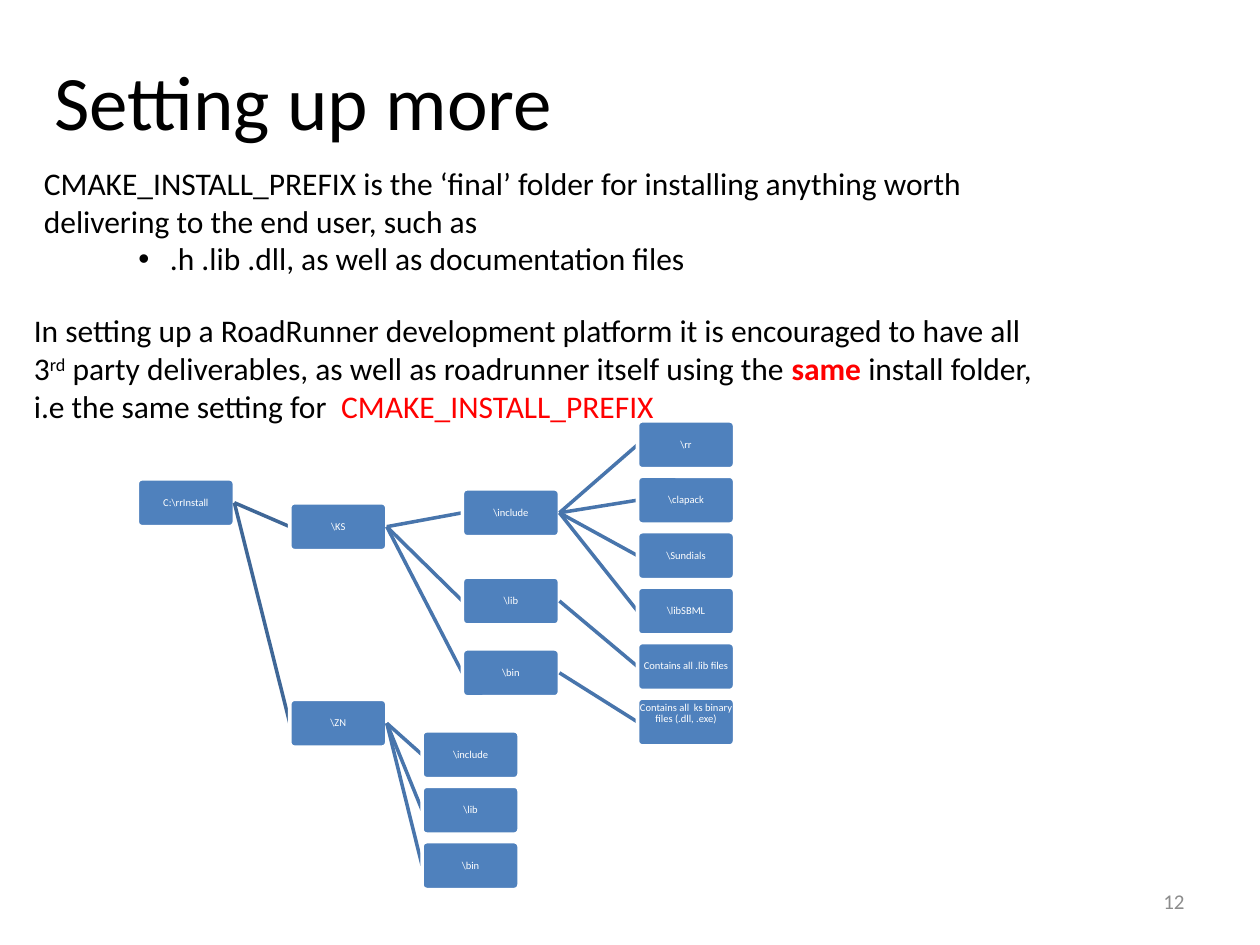
from dataclasses import dataclass
from typing import Optional

from lxml import etree
from pptx import Presentation
from pptx.dml.color import RGBColor
from pptx.enum.shapes import MSO_CONNECTOR, MSO_SHAPE
from pptx.enum.text import MSO_ANCHOR, PP_ALIGN
from pptx.oxml.ns import qn
from pptx.util import Inches, Pt

STRAIGHT = MSO_CONNECTOR.STRAIGHT
ROUNDED = MSO_SHAPE.ROUNDED_RECTANGLE
MIDDLE = MSO_ANCHOR.MIDDLE
LEFT, CENTER, RIGHT = PP_ALIGN.LEFT, PP_ALIGN.CENTER, PP_ALIGN.RIGHT

BLACK = RGBColor(0x00, 0x00, 0x00)
WHITE = RGBColor(0xFF, 0xFF, 0xFF)
RED = RGBColor(0xFF, 0x00, 0x00)
GRAY = RGBColor(0x8C, 0x8C, 0x8C)
BOX_BLUE = RGBColor(0x4F, 0x81, 0xBD)
ROOT_LINE = RGBColor(0x3F, 0x67, 0x97)
BRANCH_LINE = RGBColor(0x48, 0x75, 0xAC)

FONT = "Calibri"
BOX_WIDTH, BOX_HEIGHT = 0.77, 0.38
ROW_STEP = 0.44
ROOT_X, COMPILER_X, KS_X, CONTENT_X, ZN_X = 1.09, 2.3, 3.67, 5.06, 3.35


@dataclass
class Folder:
    name: str
    left: float
    top: float
    parent: Optional["Folder"] = None
    bottom_inset: float = 0


def add_text(paragraph, text: str, size: float = 18, color: RGBColor = BLACK,
             bold: bool = False, baseline: int = 0) -> None:
    run = paragraph.add_run()
    run.text = text
    run.font.name = FONT
    run.font.size = Pt(size)
    run.font.bold = bold
    run.font.color.rgb = color
    if baseline:
        run.font._element.set("baseline", str(baseline))


def add_text_box(slide, left: float, top: float, width: float, height: float):
    shape = slide.shapes.add_textbox(Inches(left), Inches(top), Inches(width), Inches(height))
    shape.text_frame.word_wrap = False
    return shape.text_frame


def add_bullet(paragraph, margin: float, hanging: float) -> None:
    properties = paragraph._p.get_or_add_pPr()
    properties.set("marL", str(Inches(margin)))
    properties.set("indent", str(-Inches(hanging)))
    etree.SubElement(properties, qn("a:buFont")).set("typeface", "Arial")
    etree.SubElement(properties, qn("a:buChar")).set("char", "•")


def add_branch(slide, parent: Folder, child: Folder) -> None:
    middle = BOX_HEIGHT / 2
    connector = slide.shapes.add_connector(
        STRAIGHT, Inches(parent.left + BOX_WIDTH), Inches(parent.top + middle),
        Inches(child.left), Inches(child.top + middle))
    connector.line.width = Pt(2)
    connector.line.color.rgb = BRANCH_LINE if parent.parent else ROOT_LINE
    etree.SubElement(connector._element.spPr, qn("a:effectLst"))


def add_folder(slide, folder: Folder) -> None:
    if folder.parent:
        add_branch(slide, folder.parent, folder)
    shape = slide.shapes.add_shape(ROUNDED, Inches(folder.left), Inches(folder.top),
                                   Inches(BOX_WIDTH), Inches(BOX_HEIGHT))
    shape.adjustments[0] = 0.1
    shape.shadow.inherit = False
    shape.fill.solid()
    shape.fill.fore_color.rgb = BOX_BLUE
    shape.line.color.rgb = WHITE
    shape.line.width = Pt(2)
    frame = shape.text_frame
    frame.word_wrap = True
    frame.vertical_anchor = MIDDLE
    frame.margin_left = frame.margin_right = frame.margin_top = 0
    frame.margin_bottom = Inches(folder.bottom_inset)
    paragraph = frame.paragraphs[0]
    paragraph.alignment = CENTER
    paragraph.line_spacing = 0.9
    add_text(paragraph, folder.name, size=6, color=WHITE)


def folder_tree() -> list[Folder]:
    root = Folder("C:\\rrInstall", ROOT_X, 3.8)
    ks = Folder("\\KS", COMPILER_X, 3.99, root)
    zn = Folder("\\ZN", COMPILER_X, 5.55, root)
    include = Folder("\\include", KS_X, 3.88, ks)
    library = Folder("\\lib", KS_X, 4.58, ks)
    binary = Folder("\\bin", KS_X, 5.15, ks)
    contents = [("\\rr", include), ("\\clapack", include), ("\\Sundials", include),
                ("\\libSBML", include), ("Contains all .lib files", library),
                ("Contains all  ks binary files (.dll, .exe)", binary)]
    content_folders = [Folder(name, CONTENT_X, 3.34 + row * ROW_STEP, parent)
                       for row, (name, parent) in enumerate(contents)]
    content_folders[-1].bottom_inset = 0.13
    zn_folders = [Folder(name, ZN_X, 5.8 + row * ROW_STEP, zn)
                  for row, name in enumerate(("\\include", "\\lib", "\\bin"))]
    return [root, ks, include, library, binary, *content_folders, zn, *zn_folders]


presentation = Presentation()
presentation.slide_width, presentation.slide_height = Inches(10), Inches(7.5)
slide = presentation.slides.add_slide(presentation.slide_layouts.get_by_name("Title Only"))

# Title
title = slide.shapes.title
title.left, title.top, title.width, title.height = map(Inches, (0.33, 0.17, 9, 1.25))
title.text_frame.vertical_anchor = MIDDLE
title_paragraph = title.text_frame.paragraphs[0]
title_paragraph.alignment = LEFT
add_text(title_paragraph, "Setting up more", size=44)

# Slide number
number_frame = add_text_box(slide, 7.17, 6.95, 2.33, 0.4)
number_frame.word_wrap = True
number_frame.vertical_anchor = MIDDLE
number_frame.paragraphs[0].alignment = RIGHT
add_text(number_frame.paragraphs[0], "12", size=12, color=GRAY)

# Purpose of the install prefix
purpose = add_text_box(slide, 0.25, 1.25, 7.63, 1.01)
add_text(purpose.paragraphs[0],
         "CMAKE_INSTALL_PREFIX is the ‘final’ folder for installing anything worth ")
add_text(purpose.add_paragraph(), "delivering to the end user, such as ")
file_types = purpose.add_paragraph()
file_types.level = 2
add_bullet(file_types, margin=1, hanging=0.25)
add_text(file_types, ".h .lib .dll, as well as documentation files")

# Recommended setting
advice = add_text_box(slide, 0.17, 2.42, 8.29, 1.01)
add_text(advice.paragraphs[0],
         "In setting up a RoadRunner development platform it is encouraged to have all ")
same_folder = advice.add_paragraph()
add_text(same_folder, "3")
add_text(same_folder, "rd", baseline=30000)
add_text(same_folder, " party deliverables, as well as roadrunner itself using the ")
add_text(same_folder, "same", color=RED, bold=True)
add_text(same_folder, " install folder, ")
setting = advice.add_paragraph()
add_text(setting, "i.e the same setting for  ")
add_text(setting, "CMAKE_INSTALL_PREFIX", color=RED)

# Folder tree
for folder in folder_tree():
    add_folder(slide, folder)

presentation.save("out.pptx")
